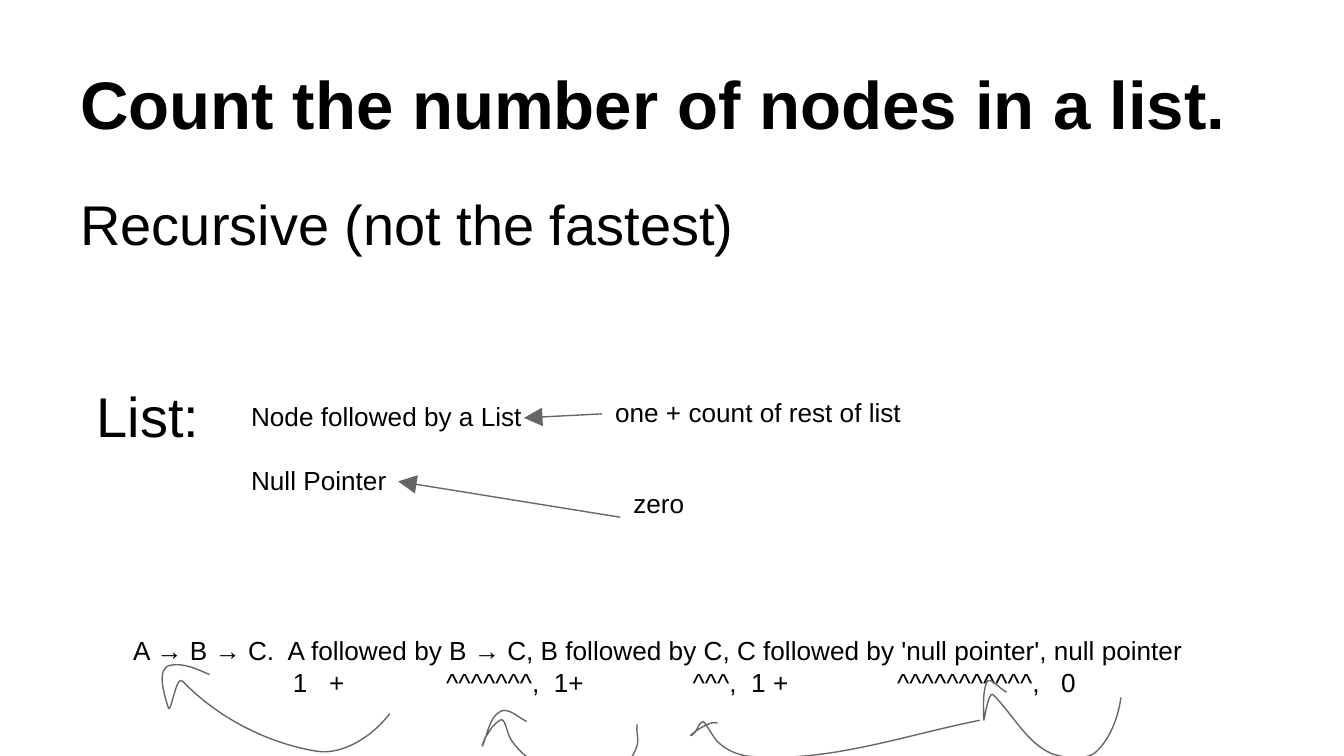
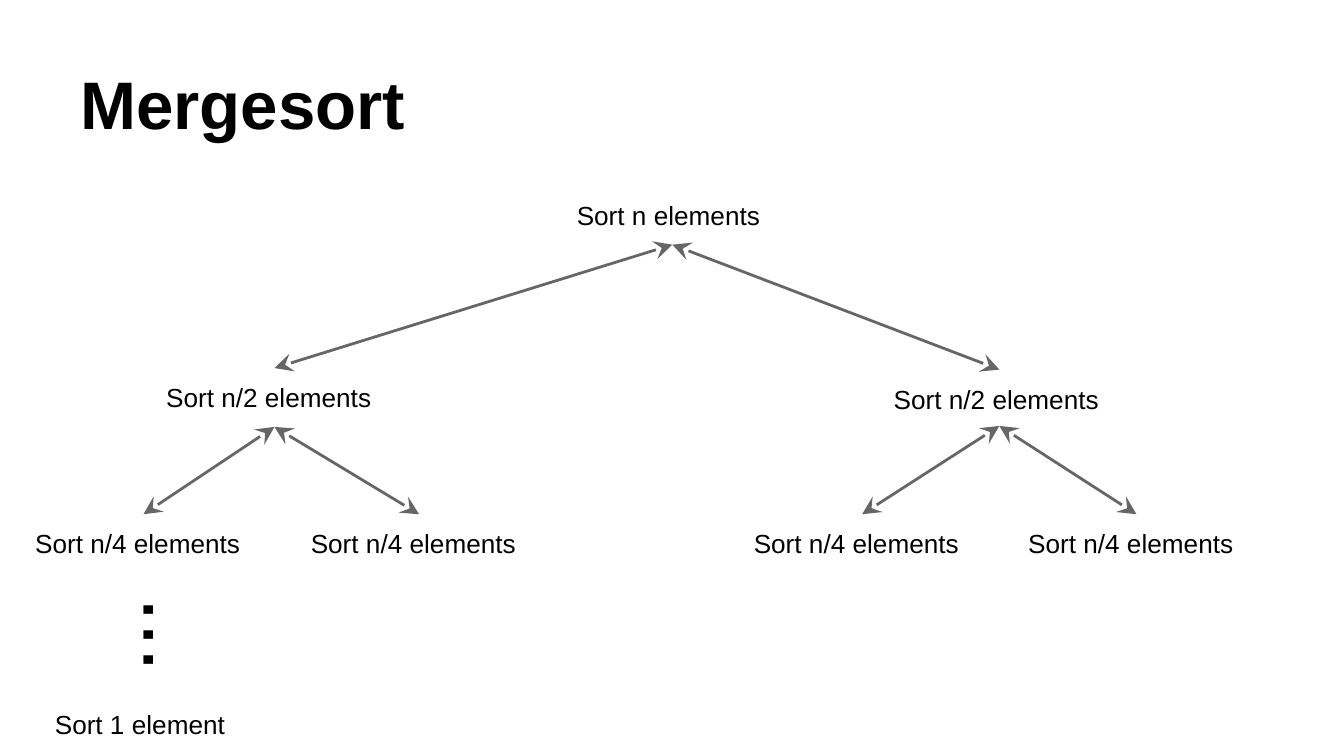
from lxml.etree import SubElement
from pptx import Presentation
from pptx.dml.color import RGBColor
from pptx.enum.shapes import MSO_CONNECTOR
from pptx.enum.text import MSO_ANCHOR
from pptx.oxml.ns import qn
from pptx.util import Pt

BLACK = RGBColor(0x00, 0x00, 0x00)
GRAY = RGBColor(0x66, 0x66, 0x66)
WHITE = RGBColor(0xFF, 0xFF, 0xFF)

INSET = 7.2
TOP, LEFT, BOTTOM = 0, 1, 2

TITLE = {"name": "Arial", "size": Pt(36), "bold": True}
BODY = {"name": "Arial", "size": Pt(30)}
LABEL = {"name": "Arial", "size": Pt(14)}
DOTS = {"name": "Arial", "size": Pt(48)}
TITLE_PLACE = (36, 16.2, 648, 67.5)

COUNT_TITLE = "Count the number of nodes in a list."
COUNT_HEADINGS = [
    ("Recursive (not the fastest)", (36, 94.3, 648, 67.7)),
    ("List:", (44.6, 197.3, 126, 79.2)),
]
LIST_CASES = ["Node followed by a List", "Null Pointer"]
LIST_CASES_PLACE = (127.4, 207.4, 215.3, 58.3)
CASE_GAP = 17.2
CASE_RESULTS = [
    ("zero", (332.2, 253.7, 81.4, 46.8), (213.3, 257.9)),
    ("one + count of rest of list", (322.4, 205.2, 209.5, 33.1), (280.7, 223.9)),
]
TRACE = [
    "A → B → C.\tA followed by B → C, B followed by C, C followed by 'null pointer', null pointer",
    "\t1\t+\t^^^^^^^,\t1+\t^^^,\t1 +\t^^^^^^^^^^^,\t0",
]
TRACE_TABS = [[82.8], [85.6, 105, 167.7, 225.4, 299.7, 331.1, 409.3, 497.1]]
TRACE_PLACE = (64.3, 332.6, 607, 49.7)
TRACE_GAP = 0.4

RETURN_ARROWS = [
    ((368.7, 385.9, 156.2, 20), [
        (524.9, 385.9),
        (485.3, 393.8), (445, 408.2), (404.6, 405.4),
        (397.4, 405.4), (389.5, 402.5), (384.5, 397.4),
        (381.6, 394.6), (378, 386.6), (376.6, 386.6),
        (373.7, 387.4), (373.7, 392.4), (370.8, 393.8),
        (366.5, 396), (380.2, 385.2), (384.5, 387.4)]),
    ((257.8, 380.9, 83.5, 33.8), [
        (341.3, 388.1),
        (340.6, 395.3), (343.4, 396), (339.8, 403.2),
        (334.1, 416.2), (311.8, 415.4), (297.4, 412.6),
        (288, 411.1), (278.6, 403.9), (273.6, 396),
        (271.4, 392.4), (270.7, 383.8), (267.8, 385.9),
        (262.8, 389.5), (263.5, 390.2), (259.9, 395.3),
        (259.2, 396.7), (257.8, 401), (258.5, 399.6),
        (261.4, 393.1), (262.1, 383.8), (268.6, 380.9),
        (272.9, 379.4), (277.9, 384.5), (282.2, 386.6)]),
    ((87.1, 355.7, 121.7, 46.8), [
        (208.8, 382.3),
        (200.2, 393.8), (184.3, 404.6), (169.9, 402.5),
        (143.3, 398.2), (116.6, 384.5), (97.9, 365),
        (94.3, 360.7), (91.4, 384.5), (90, 378.7),
        (87.8, 371.5), (83.5, 357.8), (91.4, 356.4),
        (98.6, 355), (105.8, 358.6), (112.3, 361.4)]),
    ((527, 364.3, 73.5, 41.8), [
        (600.5, 373.7),
        (599, 384.5), (594.7, 396), (586.8, 403.2),
        (581, 407.5), (571, 406.1), (563.8, 403.9),
        (550.1, 398.2), (542.9, 383), (532.1, 372.2),
        (529.2, 369.4), (527, 389.5), (527, 385.2),
        (527, 378.7), (526.3, 371.5), (528.5, 365.8),
        (529.9, 361.4), (535.7, 369.4), (539.3, 370.8)]),
]

SORT_TITLE = "Mergesort"
SORT_TREE = [
    ("Sort n elements", (301.9, 99.4, 116.6, 31.7)),
    ("Sort n/2 elements", (81.9, 197.2, 130.3, 31.5)),
    ("Sort n/2 elements", (471.7, 198, 127.4, 30.2)),
] + [("Sort n/4 elements", (left, 275.5, 130.3, 30.2))
     for left in (11.7, 159.4, 396.7, 543.7)]
LAST_SORT = ("Sort 1 element", (22.3, 372.2, 190.1, 18.7))
SORT_DOTS = ("...", (41.3, 295.9, 56.9, 85.7))


def add_tabs(para, positions):
    tab_list = SubElement(para._p.get_or_add_pPr(), qn("a:tabLst"))
    for position in positions:
        SubElement(tab_list, qn("a:tab"), pos=str(Pt(position)), algn="l")


def add_text(page, lines, place, style, anchor=MSO_ANCHOR.TOP, gap=0, tabs=None):
    box = page.shapes.add_textbox(*map(Pt, place))
    frame = box.text_frame
    frame.word_wrap = True
    frame.vertical_anchor = anchor
    for side in ("left", "right", "top", "bottom"):
        setattr(frame, f"margin_{side}", Pt(INSET))
    for number, line in enumerate(lines):
        para = frame.add_paragraph() if number else frame.paragraphs[0]
        if number and gap:
            para.space_before = Pt(gap)
        if tabs:
            add_tabs(para, tabs[number])
        span = para.add_run()
        span.text = line
        for name, value in style.items():
            setattr(span.font, name, value)
        span.font.color.rgb = BLACK
    return box


def add_arrow(page, start, start_side, end, width, ends):
    arrow = page.shapes.add_connector(MSO_CONNECTOR.STRAIGHT, 0, 0, *map(Pt, end))
    arrow.begin_connect(start, start_side)
    arrow.line.color.rgb = GRAY
    arrow.line.width = Pt(width)
    for tag, kind in ends.items():
        SubElement(arrow.line._get_or_add_ln(), qn(f"a:{tag}"),
                   type=kind, w="lg", len="lg")
    SubElement(arrow._element.spPr, qn("a:effectLst"))
    return arrow


def add_curve(page, place, points):
    builder = page.shapes.build_freeform(*map(Pt, points[0]))
    builder.add_line_segments([tuple(map(Pt, point)) for point in points[3::3]],
                              close=False)
    curve = builder.convert_to_shape()
    for name, value in zip(("left", "top", "width", "height"), place):
        setattr(curve, name, Pt(value))
    outline = next(curve._element.iter(qn("a:path")))
    outline.set("w", str(curve.width))
    outline.set("h", str(curve.height))
    for step in list(outline):
        outline.remove(step)
    steps = [("moveTo", points[:1])]
    steps += [("cubicBezTo", points[i:i + 3]) for i in range(1, len(points), 3)]
    for tag, corners in steps:
        step = SubElement(outline, qn(f"a:{tag}"))
        for x, y in corners:
            SubElement(step, qn("a:pt"), x=str(Pt(x) - curve.left),
                       y=str(Pt(y) - curve.top))
    curve.shadow.inherit = False
    curve.fill.background()
    curve.line.color.rgb = GRAY
    curve.line.width = Pt(0.75)


def add_page(deck, title):
    page = deck.slides.add_slide(deck.slide_layouts[6])
    page.background.fill.solid()
    page.background.fill.fore_color.rgb = WHITE
    add_text(page, [title], TITLE_PLACE, TITLE, MSO_ANCHOR.BOTTOM)
    return page


def build_count_page(deck):
    page = add_page(deck, COUNT_TITLE)
    for text, place in COUNT_HEADINGS:
        add_text(page, [text], place, BODY)
    add_text(page, LIST_CASES, LIST_CASES_PLACE, LABEL, gap=CASE_GAP)
    for text, place, target in CASE_RESULTS:
        result = add_text(page, [text], place, LABEL)
        add_arrow(page, result, LEFT, target, 0.75, {"tailEnd": "triangle"})
    add_text(page, TRACE, TRACE_PLACE, LABEL, gap=TRACE_GAP, tabs=TRACE_TABS)
    for place, points in RETURN_ARROWS:
        add_curve(page, place, points)


def build_sort_page(deck):
    page = add_page(deck, SORT_TITLE)
    boxes = [add_text(page, [text], place, LABEL) for text, place in SORT_TREE]
    for number, child in enumerate(boxes[1:], 1):
        parent = boxes[(number - 1) // 2]
        arrow = add_arrow(page, parent, BOTTOM, (0, 0), 1.5,
                          {"headEnd": "stealth", "tailEnd": "stealth"})
        arrow.end_connect(child, TOP)
    text, place = LAST_SORT
    add_text(page, [text], place, LABEL)
    text, place = SORT_DOTS
    add_text(page, [text], place, DOTS).rotation = 270


def main():
    deck = Presentation()
    deck.slide_width, deck.slide_height = Pt(720), Pt(405)
    build_count_page(deck)
    build_sort_page(deck)
    deck.save("out.pptx")


if __name__ == "__main__":
    main()
